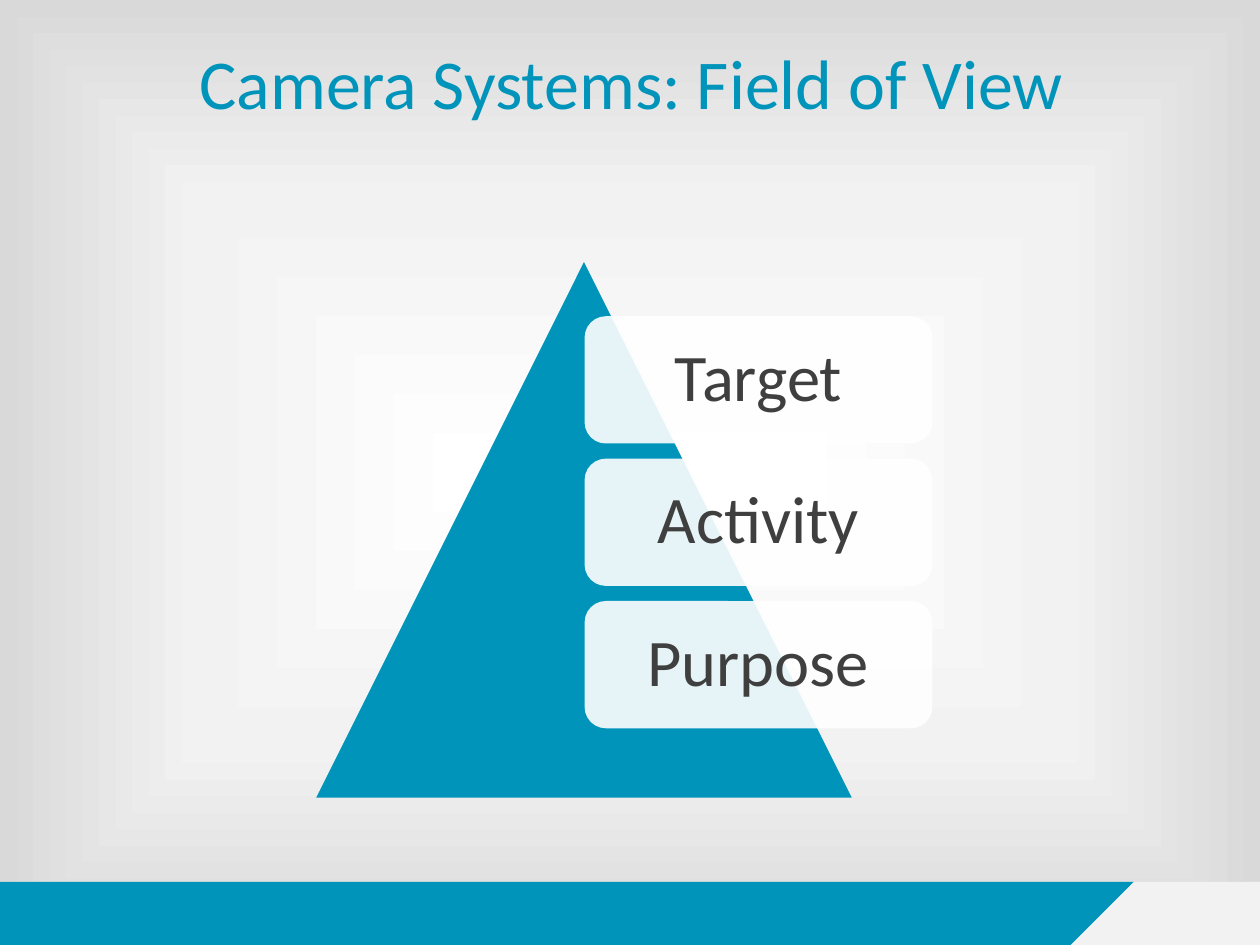
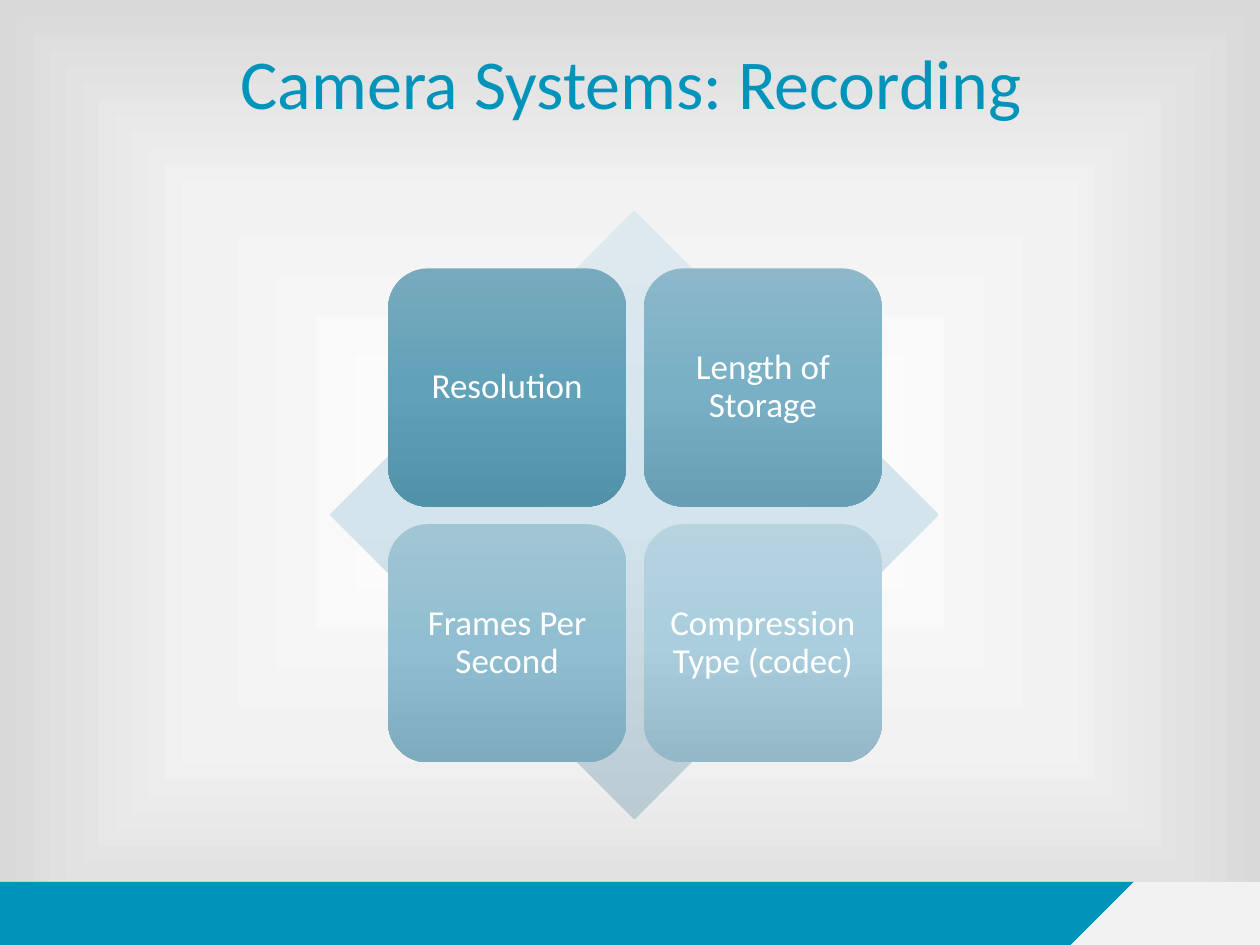
import pptx
import pptx.util
import pptx.dml.color
import pptx.enum.shapes
import pptx.enum.text
import pptx.oxml
import pptx.oxml.ns

Inches = pptx.util.Inches
SHAPE = pptx.enum.shapes.MSO_SHAPE
FONT = "Calibri"
BLUE, WHITE, PALE, DARK = "0094BB", "FFFFFF", "F2F2F2", "3F3F3F"
qn = pptx.oxml.ns.qn


def rgb(value):
    return pptx.dml.color.RGBColor.from_string(value)


def set_gradient(element, stops, direction):
    """Swap the first solid fill under element for a gradient."""
    gs = "".join(f'<a:gs pos="{pos * 1000}"><a:srgbClr val="{color}"/></a:gs>'
                 for pos, color in stops)
    grad = pptx.oxml.parse_xml(
        f'<a:gradFill {pptx.oxml.ns.nsdecls("a")} rotWithShape="1">'
        f'<a:gsLst>{gs}</a:gsLst>{direction}</a:gradFill>')
    solid = element.find(".//" + qn("a:solidFill"))
    solid.getparent().replace(solid, grad)


def style(sp, color, alpha=None):
    sp.shadow.inherit = False
    sp.line.fill.background()
    sp.fill.solid()
    sp.fill.fore_color.rgb = rgb(color)
    if alpha is not None:
        clr = sp._element.spPr.find(".//" + qn("a:srgbClr"))
        clr.append(pptx.oxml.parse_xml(
            f'<a:alpha {pptx.oxml.ns.nsdecls("a")} val="{alpha * 1000}"/>'))
    return sp


def write(sp, text, size, color, inset=0.1, spacing=1.0):
    tf = sp.text_frame
    tf.word_wrap = True
    tf.vertical_anchor = pptx.enum.text.MSO_ANCHOR.MIDDLE
    tf.margin_left = tf.margin_right = Inches(inset)
    tf.margin_top = tf.margin_bottom = Inches(inset)
    p = tf.paragraphs[0]
    p.alignment = pptx.enum.text.PP_ALIGN.CENTER
    p.line_spacing = spacing
    r = p.add_run()
    r.text = text
    r.font.name = FONT
    r.font.size = pptx.util.Pt(size)
    r.font.color.rgb = rgb(color)


def add_box(slide, kind, left, top, width, height, color, alpha=None):
    sp = slide.shapes.add_shape(kind, Inches(left), Inches(top),
                                Inches(width), Inches(height))
    return style(sp, color, alpha)


def add_gradient_box(slide, kind, left, top, side, colors):
    sp = add_box(slide, kind, left, top, side, side, colors[0])
    set_gradient(sp._element.spPr, zip((0, 50, 100), colors),
                 '<a:lin ang="5400000" scaled="0"/>')
    return sp


def add_band(slide, points, color):
    """Draw a footer band and move it to the slide master."""
    start, *rest = points
    builder = slide.shapes.build_freeform(*start, scale=Inches(1))
    builder.add_line_segments(rest, close=True)
    sp = style(builder.convert_to_shape(), color)
    master = slide.slide_layout.slide_master
    master.shapes._spTree.append(sp._element)


def set_background(master):
    fill = master.background.fill
    fill.solid()
    fill.fore_color.rgb = rgb(PALE)
    set_gradient(master._element, [(0, WHITE), (58, PALE), (100, "D9D9D9")],
                 '<a:path path="rect"><a:fillToRect l="50000" t="50000" '
                 'r="50000" b="50000"/></a:path>')


def add_slide(prs, title):
    slide = prs.slides.add_slide(prs.slide_layouts[5])
    sp = slide.shapes.title
    sp.left, sp.top = Inches(0.76), Inches(0.21)
    sp.width, sp.height = Inches(8.5), Inches(0.87)
    write(sp, title, 40, BLUE, inset=0.05)
    return slide


def build_field_of_view(slide):
    add_box(slide, SHAPE.ISOSCELES_TRIANGLE, 2.51, 2.08, 4.25, 4.25, BLUE)
    for i, label in enumerate(("Target", "Activity", "Purpose")):
        sp = add_box(slide, SHAPE.ROUNDED_RECTANGLE, 4.64, 2.51 + i * 1.13,
                     2.76, 1.01, WHITE, alpha=90)
        write(sp, label, 38, DARK, inset=0.16, spacing=0.9)


def build_recording(slide):
    add_gradient_box(slide, SHAPE.DIAMOND, 2.62, 1.67, 4.83,
                     ("DDE9EF", "D4E4EC", "BACBD3"))
    tiles = [
        ("Resolution", ("78AABD", "61A2B9", "5192A9")),
        ("Length of Storage", ("8CB8C9", "79B0C5", "679EB3")),
        ("Frames Per Second", ("A1C5D4", "91BFD1", "7EABBD")),
        ("Compression Type (codec)", ("B7D3E0", "AACEDD", "94B8C7")),
    ]
    for i, (label, colors) in enumerate(tiles):
        row, col = divmod(i, 2)
        sp = add_gradient_box(slide, SHAPE.ROUNDED_RECTANGLE,
                              3.08 + col * 2.03, 2.13 + row * 2.03, 1.89, colors)
        write(sp, label, 20, WHITE, inset=0.08, spacing=0.9)


def main():
    prs = pptx.Presentation()
    prs.slide_width, prs.slide_height = Inches(10), Inches(7.5)
    view = add_slide(prs, "Camera Systems: Field of View")
    recording = add_slide(prs, "Camera Systems: Recording")

    # Shared background and footer bands
    set_background(prs.slide_master)
    add_band(view, [(0, 7), (8.7, 7), (8.47, 7.5), (0, 7.5)], BLUE)
    add_band(view, [(8.73, 7), (10, 7), (10, 7.5), (8.5, 7.5)], PALE)

    # Slide diagrams
    build_field_of_view(view)
    build_recording(recording)
    prs.save("out.pptx")


if __name__ == "__main__":
    main()
